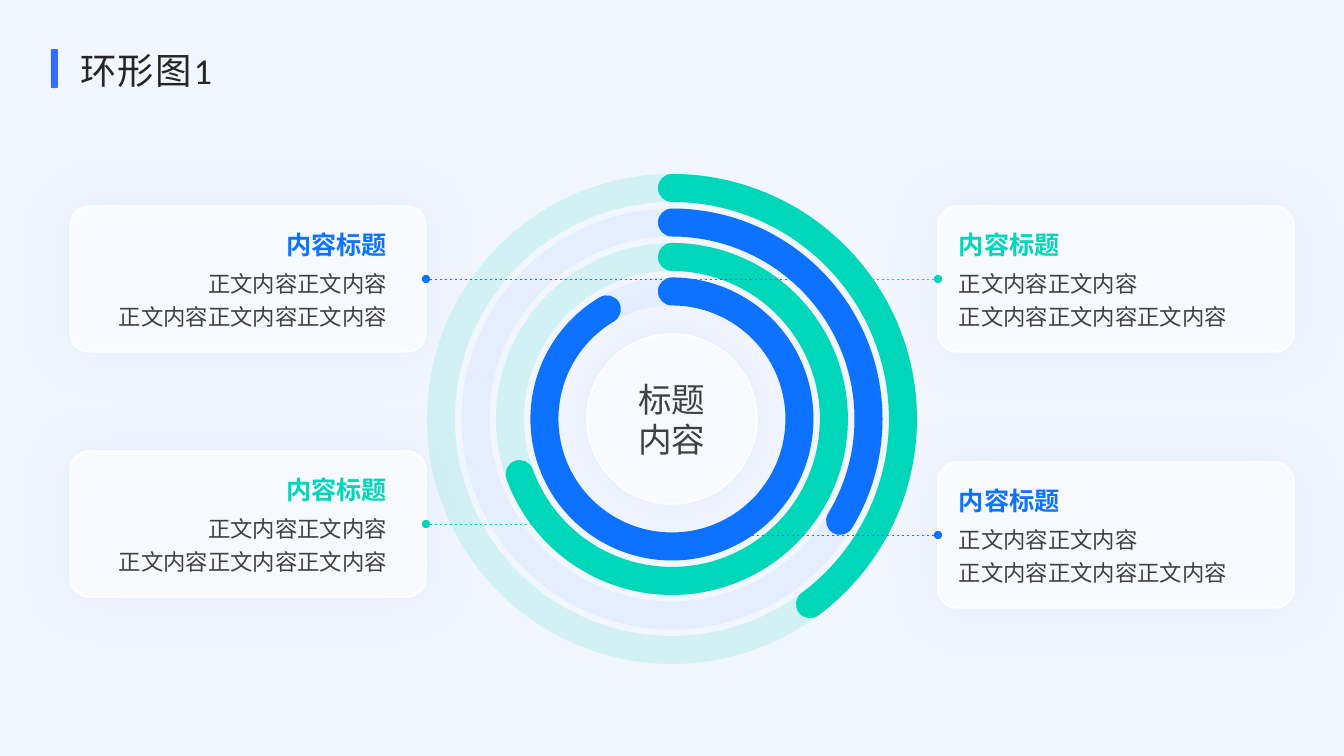
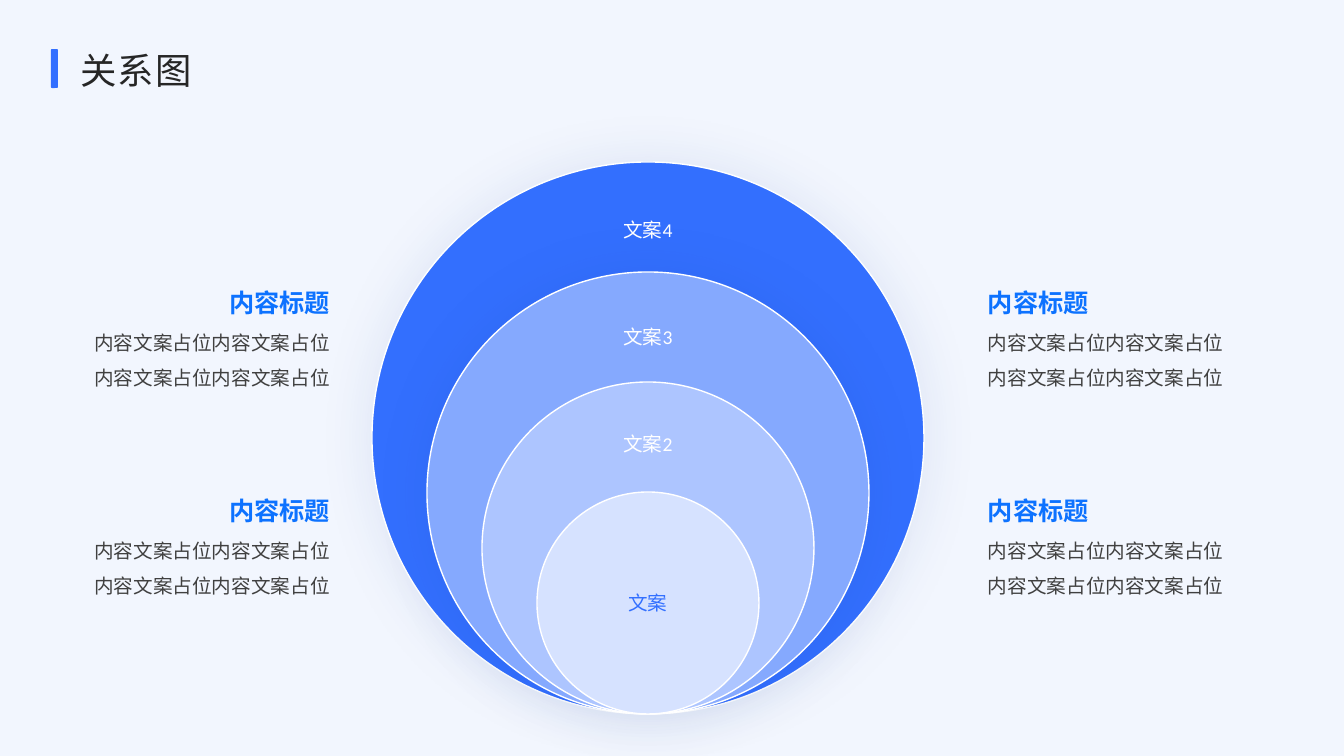
from lxml.etree import SubElement
from pptx import Presentation
from pptx.dml.color import RGBColor
from pptx.enum.dml import MSO_LINE
from pptx.enum.shapes import MSO_CONNECTOR, MSO_SHAPE
from pptx.enum.text import MSO_ANCHOR, MSO_AUTO_SIZE, PP_ALIGN
from pptx.oxml.ns import qn
from pptx.util import Pt

PX = 914400 / 100.8
FONT = "Calibri"
BACKDROP, ACCENT, WHITE = "F2F6FE", "336FFF", "FFFFFF"
BLUE, GREEN = "0D72FF", "00D6B9"
TITLE_INK, BODY_INK = "262626", "404040"
LEFT, RIGHT, CENTER = PP_ALIGN.LEFT, PP_ALIGN.RIGHT, PP_ALIGN.CENTER
TOP, MIDDLE = MSO_ANCHOR.TOP, MSO_ANCHOR.MIDDLE
rgb = RGBColor.from_string


def write(shape, text, size=16, color=BODY_INK, bold=False, align=LEFT,
          spacing=1.0, anchor=TOP, tracking=0):
    """Fill a shape with one paragraph per line of text."""
    frame = shape.text_frame
    frame.word_wrap = True
    frame.auto_size = MSO_AUTO_SIZE.NONE
    frame.vertical_anchor = anchor
    frame.text = text
    for paragraph in frame.paragraphs:
        paragraph.alignment = align
        paragraph.line_spacing = spacing
        for run in paragraph.runs:
            run.font.name = FONT
            run.font.size = Pt(size)
            run.font.bold = bold
            run.font.color.rgb = rgb(color)
            if tracking:
                run.font._element.set("spc", str(tracking * 100))


def draw(shapes, kind, box, fill=None, fill_alpha=100, line=None, width=1,
         line_alpha=100, glow=None):
    """Add a preset shape; box is left, top, width, height in px."""
    shape = shapes.add_shape(kind, *(round(v * PX) for v in box))
    shape.shadow.inherit = False
    properties = shape._element.spPr
    if fill:
        shape.fill.solid()
        shape.fill.fore_color.rgb = rgb(fill)
    else:
        shape.fill.background()
    if line:
        shape.line.color.rgb = rgb(line)
        shape.line.width = Pt(width)
    else:
        shape.line.fill.background()
    for holder, alpha in ((properties, fill_alpha), (properties.find(qn("a:ln")), line_alpha)):
        if alpha < 100:
            tint = holder.find(qn("a:solidFill")).find(qn("a:srgbClr"))
            SubElement(tint, qn("a:alpha"), val=str(alpha * 1000))
    if glow:
        outer = SubElement(properties.find(qn("a:effectLst")), qn("a:outerShdw"),
                           blurRad=str(Pt(40)), dist="0", dir="0", algn="ctr", rotWithShape="0")
        tint = SubElement(outer, qn("a:srgbClr"), val=glow)
        SubElement(tint, qn("a:alpha"), val="10000")
    return shape


# Shared layout: backdrop, accent bar, title place
prs = Presentation()
prs.slide_width, prs.slide_height = round(1344 * PX), round(756 * PX)
layout = prs.slide_layouts[5]
layout.background.fill.solid()
layout.background.fill.fore_color.rgb = rgb(BACKDROP)
title_place = layout.placeholders[0]
title_place.left, title_place.top, title_place.width, title_place.height = (
    round(v * PX) for v in (70, 47, 810, 51))

rings_slide, circles_slide = (prs.slides.add_slide(layout) for _ in range(2))
bar = draw(rings_slide.shapes, MSO_SHAPE.ROUNDED_RECTANGLE, (51, 49, 7, 39), ACCENT)
layout.shapes._spTree.append(bar._element)
for slide, title in ((rings_slide, "环形图1"), (circles_slide, "关系图")):
    write(slide.shapes.title, title, size=26, color=TITLE_INK, spacing=0.9,
          anchor=MIDDLE, tracking=1)

# Slide 1: cards with dashed leads towards the rings
shapes = rings_slide.shapes
CARD_W, CARD_H = 356, 146
cards = [  # left, top, text left, alignment, colour, lead end
    (70, 206, 81, RIGHT, BLUE, 811),
    (70, 451, 81, RIGHT, GREEN, 544),
    (938, 206, 949, LEFT, GREEN, 857),
    (938, 462, 949, LEFT, BLUE, 733),
]
front_leads = []
for left, top, _, align, color, lead_end in cards:
    card = draw(shapes, MSO_SHAPE.ROUNDED_RECTANGLE, (left, top, CARD_W, CARD_H),
                WHITE, fill_alpha=70, line=WHITE, glow=ACCENT)
    card.adjustments[0] = 0.13
    y = round((top + CARD_H / 2) * PX)
    lead = shapes.add_connector(MSO_CONNECTOR.STRAIGHT, 0, y, round(lead_end * PX), y)
    lead.begin_connect(card, 3 if align == RIGHT else 1)
    lead.line.color.rgb = rgb(color)
    lead.line.width = Pt(0.5)
    lead.line.dash_style = MSO_LINE.DASH
    SubElement(lead._element.spPr.find(qn("a:ln")), qn("a:headEnd"), type="oval")
    SubElement(lead._element.spPr, qn("a:effectLst"))
    if color == BLUE:
        front_leads.append(lead)

# Ring tracks, then the progress arcs on them
CENTER_X, CENTER_Y = 672, 419
arc_ends = [53.3, 31.2, 160.1, 239.3]
rings = []
for i, end in enumerate(arc_ends):
    size = 462 - 69 * i
    color, track_alpha = ((GREEN, 12), (BLUE, 5))[i % 2]
    box = (CENTER_X - size / 2, CENTER_Y - size / 2, size, size)
    rings.append((box, color, end))
    draw(shapes, MSO_SHAPE.OVAL, box, line=color, width=20, line_alpha=track_alpha)
for box, color, end in rings:
    arc = draw(shapes, MSO_SHAPE.ARC, box, line=color, width=20)
    arc.adjustments[0], arc.adjustments[1] = 270 * 0.6, end * 0.6
    arc._element.spPr.find(qn("a:ln")).set("cap", "rnd")

hub = draw(shapes, MSO_SHAPE.OVAL, (CENTER_X - 85, CENTER_Y - 85, 170, 170),
           WHITE, fill_alpha=70, line=WHITE, glow=ACCENT)
write(hub, "标题\n内容", size=24, align=CENTER, anchor=MIDDLE)

# Card texts, with the blue leads in front
for _, top, text_left, align, color, _ in cards:
    heading = shapes.add_textbox(*(round(v * PX) for v in (text_left, top + 11, 316, 45)))
    write(heading, "内容标题", size=18, color=color, bold=True, align=align, spacing=1.25)
    body = shapes.add_textbox(*(round(v * PX) for v in (text_left, top + 52, 316, 109)))
    write(body, "正文内容正文内容\n正文内容正文内容正文内容", align=align, spacing=1.25)
for lead in front_leads:
    shapes._spTree.append(lead._element)

# Slide 2: nested circles resting on one base point
shapes = circles_slide.shapes
AXIS_X, BASE_Y = 648, 714
circles = [  # fill, label, label colour, label centre, glow
    ("336FFE", "文案4", WHITE, 231, "133C9A"),
    ("85A9FE", "文案3", WHITE, 338, "133C9A"),
    ("ADC5FF", "文案2", WHITE, 445, None),
    ("D6E2FF", "文案", "3370FF", 604, None),
]
for i, (fill, label, ink, label_y, glow) in enumerate(circles):
    size = 552 - 110 * i
    draw(shapes, MSO_SHAPE.OVAL, (AXIS_X - size / 2, BASE_Y - size, size, size),
         fill, line=WHITE, glow=glow)
    caption = shapes.add_textbox(*(round(v * PX) for v in (AXIS_X - 77, label_y - 40, 154, 80)))
    write(caption, label, size=14, color=ink, align=CENTER, spacing=0.9, anchor=MIDDLE)

# Side notes
for left, align in ((62, RIGHT), (978, LEFT)):
    for top in (275, 483):
        heading = shapes.add_textbox(*(round(v * PX) for v in (left, top, 278, 45)))
        write(heading, "内容标题", size=18, color=BLUE, bold=True, align=align, spacing=1.25)
        body = shapes.add_textbox(*(round(v * PX) for v in (left, top + 39, 278, 78)))
        write(body, "内容文案占位内容文案占位\n内容文案占位内容文案占位", size=14,
              align=align, spacing=1.5)

prs.save("out.pptx")
